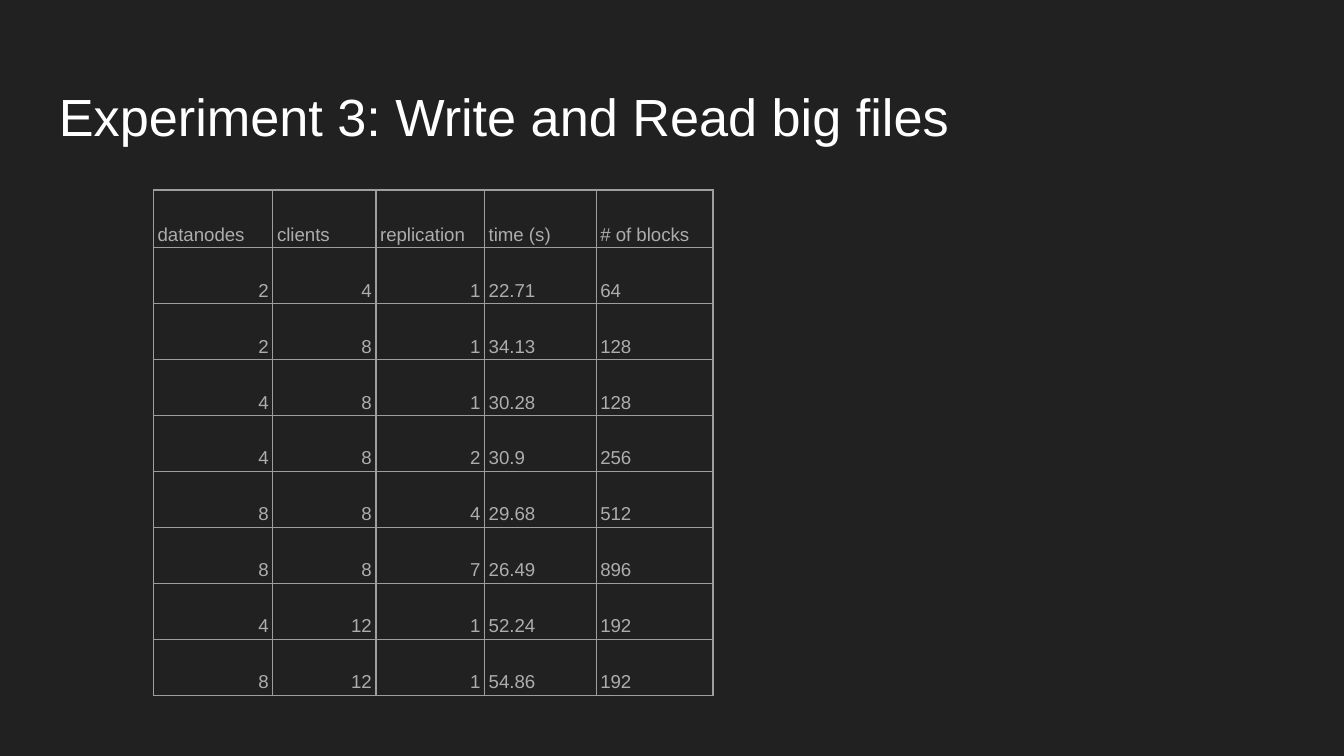
"""Build a slide with a table of write and read times for big files."""
from dataclasses import dataclass

from lxml import etree
from pptx import Presentation
from pptx.dml.color import RGBColor
from pptx.enum.text import MSO_ANCHOR, PP_ALIGN
from pptx.oxml.ns import qn
from pptx.slide import Slide
from pptx.table import _Cell
from pptx.util import Pt

LEFT, RIGHT = PP_ALIGN.LEFT, PP_ALIGN.RIGHT
TOP, BOTTOM = MSO_ANCHOR.TOP, MSO_ANCHOR.BOTTOM
BLANK_LAYOUT = 6


@dataclass(frozen=True)
class Theme:
    font: str = "Arial"
    background: str = "212121"
    title_color: str = "FFFFFF"
    cell_color: str = "ADADAD"
    border_color: str = "9E9E9E"
    title_size: float = 28
    cell_size: float = 10
    border_width: float = 0.75
    line_spacing: float = 1.15


@dataclass(frozen=True)
class Column:
    heading: str
    width: float
    align: PP_ALIGN


THEME = Theme()
COLUMNS = (
    Column("datanodes", 64, RIGHT),
    Column("clients", 55.2, RIGHT),
    Column("replication", 58.2, RIGHT),
    Column("time (s)", 59.8, LEFT),
    Column("# of blocks", 62.6, LEFT),
)
RUNS = (
    ("2", "4", "1", "22.71", "64"),
    ("2", "8", "1", "34.13", "128"),
    ("4", "8", "1", "30.28", "128"),
    ("4", "8", "2", "30.9", "256"),
    ("8", "8", "4", "29.68", "512"),
    ("8", "8", "7", "26.49", "896"),
    ("4", "12", "1", "52.24", "192"),
    ("8", "12", "1", "54.86", "192"),
)
HEADER_HEIGHT = 31
RUN_HEIGHT = 30


def style_text(paragraph, size: float, color: str, align: PP_ALIGN) -> None:
    paragraph.alignment = align
    paragraph.font.name = THEME.font
    paragraph.font.size = Pt(size)
    paragraph.font.color.rgb = RGBColor.from_string(color)


def add_borders(cell: _Cell) -> None:
    properties = cell._tc.get_or_add_tcPr()
    for index, side in enumerate(("a:lnL", "a:lnR", "a:lnT", "a:lnB")):
        border = etree.Element(qn(side), w=str(Pt(THEME.border_width)))
        fill = etree.SubElement(border, qn("a:solidFill"))
        etree.SubElement(fill, qn("a:srgbClr"), val=THEME.border_color)
        properties.insert(index, border)


def fill_cell(cell: _Cell, text: str, align: PP_ALIGN) -> None:
    cell.text = text
    cell.vertical_anchor = BOTTOM
    cell.margin_left = cell.margin_right = Pt(2.25)
    cell.margin_top = cell.margin_bottom = Pt(1.5)
    cell.fill.background()
    add_borders(cell)
    paragraph = cell.text_frame.paragraphs[0]
    paragraph.line_spacing = THEME.line_spacing
    style_text(paragraph, THEME.cell_size, THEME.cell_color, align)


def add_title(slide: Slide, text: str) -> None:
    title = slide.shapes.add_textbox(Pt(24.5), Pt(35.4), Pt(671), Pt(45.4))
    frame = title.text_frame
    frame.word_wrap = True
    frame.vertical_anchor = TOP
    frame.margin_top, frame.margin_bottom = Pt(10), Pt(3)
    frame.text = text
    style_text(frame.paragraphs[0], THEME.title_size, THEME.title_color, LEFT)


def add_results(slide: Slide) -> None:
    width = sum(column.width for column in COLUMNS)
    height = HEADER_HEIGHT + RUN_HEIGHT * len(RUNS)
    results = slide.shapes.add_table(
        len(RUNS) + 1, len(COLUMNS), Pt(82.2), Pt(101.8), Pt(width), Pt(height)
    ).table
    results.first_row = results.horz_banding = False
    for row in results.rows:
        row.height = Pt(RUN_HEIGHT)
    results.rows[0].height = Pt(HEADER_HEIGHT)
    for c, column in enumerate(COLUMNS):
        results.columns[c].width = Pt(column.width)
        fill_cell(results.cell(0, c), column.heading, LEFT)
        for r, run in enumerate(RUNS, start=1):
            fill_cell(results.cell(r, c), run[c], column.align)


def main() -> None:
    deck = Presentation()
    deck.slide_width, deck.slide_height = Pt(720), Pt(405)
    slide = deck.slides.add_slide(deck.slide_layouts[BLANK_LAYOUT])
    slide.background.fill.solid()
    slide.background.fill.fore_color.rgb = RGBColor.from_string(THEME.background)
    add_title(slide, "Experiment 3: Write and Read big files")
    add_results(slide)
    deck.save("out.pptx")


main()
